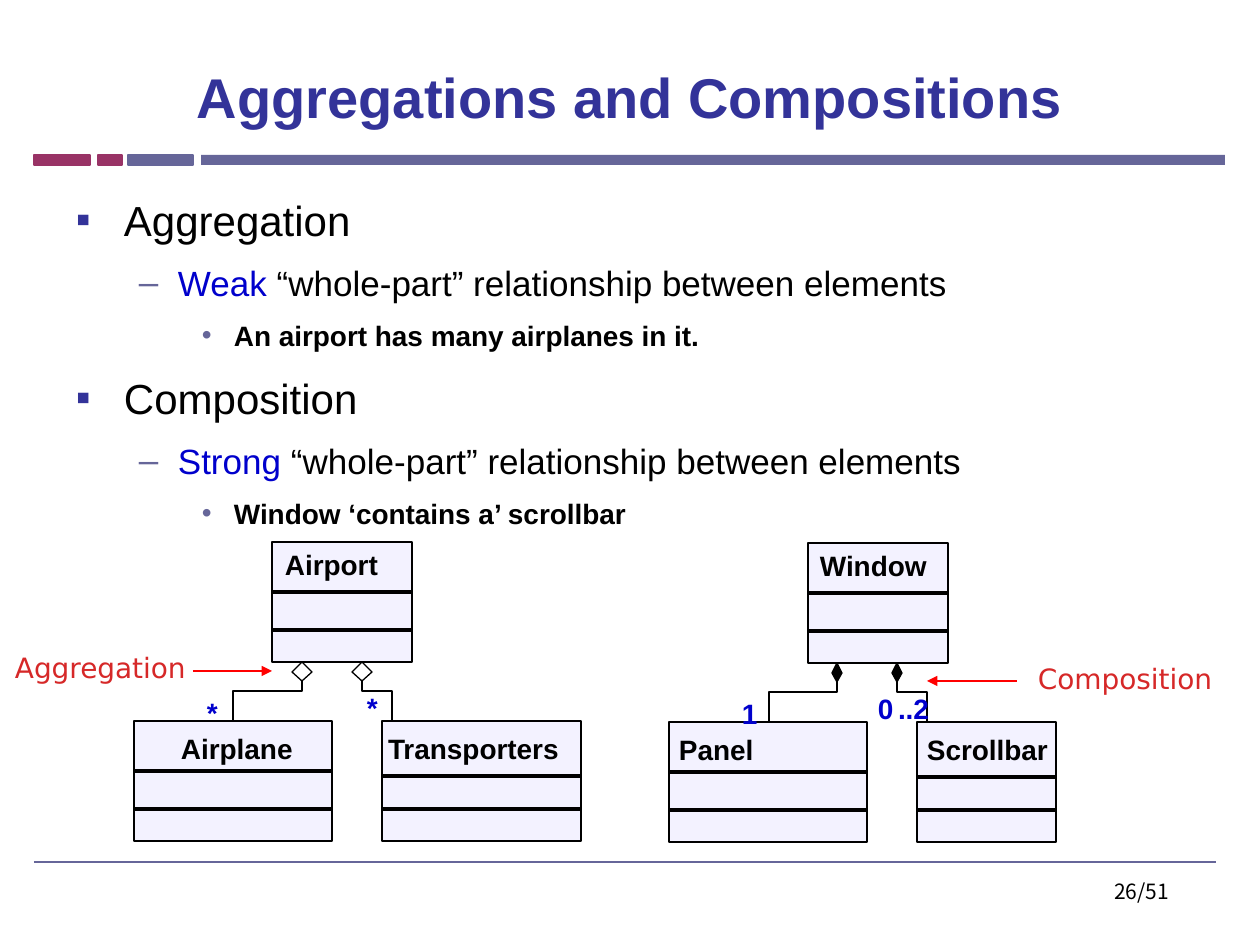
"""Build the slide on aggregations and compositions in class diagrams."""
from lxml.etree import SubElement as Sub
from pptx import Presentation
from pptx.dml.color import RGBColor
from pptx.enum.shapes import MSO_CONNECTOR as Conn, MSO_SHAPE as Shape
from pptx.enum.text import MSO_ANCHOR as Anchor, PP_ALIGN as Align
from pptx.oxml.ns import qn
from pptx.util import Emu, Pt

SCALE = 914400 / 126
BLACK, BLUE, NAVY, SLATE, PLUM = "000000", "0000CC", "333399", "666699", "993366"
RED, ROSE, PALE = "FF0000", "D62828", "F3F2FF"
BARS = [(201, 1024, SLATE), (34, 56, PLUM), (128, 65, SLATE), (98, 24, PLUM)]
LEVELS = [
    dict(left=48, hang=48, mark="▪", hue=NAVY, size=24, before=6),
    dict(left=102, hang=39, mark="–", hue=SLATE, size=20, before=5),
    dict(left=158, hang=32, mark="•", hue=SLATE, size=16, before=4.5),
]
BODY = [
    (0, [("Aggregation", BLACK)]),
    (1, [("Weak", BLUE), (" “whole-part” relationship between elements", BLACK)]),
    (2, [("An airport has many airplanes in it.", BLACK)]),
    (0, [("Composition", BLACK)]),
    (1, [("Strong", BLUE), (" “whole-part” relationship between elements", BLACK)]),
    (2, [("Window ‘contains a’ scrollbar", BLACK)]),
]
GROUPS = [
    dict(
        top=543, half=5, fill=BLACK,
        heads=[("Window", 808, 0, 140, 820, 6, 50), ("Panel", 669, 179, 198, 679, 11, 50),
               ("Scrollbar", 917, 179, 139, 927, 11, 55)],
        links=[(837, 769), (897, 927)],
        counts=[("1", 742, 154), ("0", 878, 149), ("..2", 898, 149)],
    ),
    dict(
        top=542, half=10, fill="FFFFFF",
        heads=[("Airport", 272, 0, 140, 285, 6, 50), ("Airplane", 134, 179, 198, 181, 11, 50),
               ("Transporters", 382, 179, 199, 388, 11, 55)],
        links=[(302, 233), (362, 392)],
        counts=[("*", 207, 154), ("*", 367, 149)],
    ),
]
NOTES = [("Composition", 1038, 662, (1017, 681, 927, 681), 1),
         ("Aggregation", 15, 651, (193, 671, 272, 671), 0.75)]


def px(num):
    return Emu(round(num * SCALE))


def color(code):
    return RGBColor.from_string(code)


def style(item, fill, line, width):
    item.shadow.inherit = False
    if fill:
        item.fill.solid()
        item.fill.fore_color.rgb = color(fill)
    else:
        item.fill.background()
    if line:
        item.line.color.rgb = color(line)
        item.line.width = Pt(width)
    else:
        item.line.fill.background()


def rect(to, x, y, w, h, fill, line=None, width=0):
    box = to.add_shape(Shape.RECTANGLE, px(x), px(y), px(w), px(h))
    style(box, fill, line, width)


def trace(to, points, fill=None):
    pen = to.build_freeform(*points[0], scale=SCALE)
    pen.add_line_segments(points[1:], close=bool(fill))
    style(pen.convert_to_shape(), fill, BLACK, 0)


def rule(to, x1, y1, x2, y2, hue=BLACK, width=0, arrow=False):
    line = to.add_connector(Conn.STRAIGHT, px(x1), px(y1), px(x2), px(y2))
    line.line.color.rgb = color(hue)
    line.line.width = Pt(width)
    if arrow:
        Sub(line.line._get_or_add_ln(), qn("a:tailEnd"), type="triangle")
    Sub(line._element.spPr, qn("a:effectLst"))


def frame(to, x, y, w, h, inset=(0, 0), wrap=True):
    text = to.add_textbox(px(x), px(y), px(w), px(h)).text_frame
    text.word_wrap = wrap
    text.margin_left = text.margin_right = px(inset[0])
    text.margin_top = text.margin_bottom = px(inset[1])
    return text


def write(para, text, size=16, font="Arial", hue=BLACK, bold=False):
    run = para.add_run()
    run.text = text
    run.font.size, run.font.name, run.font.bold = Pt(size), font, bold
    run.font.color.rgb = color(hue)


def bullet(para, left, hang, mark, hue):
    props = para._p.get_or_add_pPr()
    props.set("marL", str(px(left)))
    props.set("indent", str(-px(hang)))
    Sub(Sub(props, qn("a:buClr")), qn("a:srgbClr"), val=hue)
    Sub(props, qn("a:buFont"), typeface="Arial")
    Sub(props, qn("a:buChar"), char=mark)


def outline(to):
    text = frame(to, 63, 175, 1197, 669, (13, 9))
    for num, (rank, runs) in enumerate(BODY):
        para = text.add_paragraph() if num else text.paragraphs[0]
        look = LEVELS[rank]
        para.level = rank
        bullet(para, look["left"], look["hang"], look["mark"], look["hue"])
        para.line_spacing = 1.2
        para.space_before = Pt(look["before"] if num else 0)
        for words, hue in runs:
            write(para, words, size=look["size"], hue=hue, bold=rank == 2)


def diagram(to, top, half, fill, heads, links, counts):
    for name, x, drop, w, left, pad, split in heads:
        y = top + drop
        rect(to, x, y, w, 120, PALE, BLACK)
        for step in (split, 88):
            rule(to, x, y + step, x + w, y + step)
        text = frame(to, left, y + pad, w + x - left, 34, wrap=False)
        write(text.paragraphs[0], name, bold=True)
    y = top + 120
    for x, end in links:
        trace(to, [(x, y), (x, y + 29), (end, y + 29), (end, y + 59)])
        trace(to, [(x - half, y + 10), (x, y), (x + half, y + 10), (x, y + 19)], fill)
    for mark, x, drop in counts:
        text = frame(to, x, top + drop, 11 * len(mark), 34, wrap=False)
        write(text.paragraphs[0], mark, hue=BLUE, bold=True)


def main():
    deck = Presentation()
    deck.slide_width, deck.slide_height = px(1260), px(945)
    page = deck.slides.add_slide(deck.slide_layouts[6]).shapes
    for x, w, hue in BARS:
        rect(page, x, 155, w, 10, hue, hue if w < 100 else None, 0.75)
    rule(page, 34, 862, 1216, 862, SLATE, 1)
    foot = frame(page, 888, 873, 294, 66, (13, 6)).paragraphs[0]
    foot.alignment = Align.RIGHT
    write(foot, "26/51", size=12, font="Noto Sans CJK KR")
    head = frame(page, 63, 38, 1134, 117, (13, 6))
    head.vertical_anchor = Anchor.MIDDLE
    head.paragraphs[0].alignment = Align.CENTER
    write(head.paragraphs[0], "Aggregations and Compositions", size=32, hue=NAVY, bold=True)
    outline(page)
    for words, x, y, ends, width in NOTES:
        write(frame(page, x, y, 188, 34).paragraphs[0], words, font="DejaVu Sans", hue=ROSE)
        rule(page, *ends, RED, width, arrow=True)
    for group in GROUPS:
        diagram(page.add_group_shape().shapes, **group)
    deck.save("out.pptx")


if __name__ == "__main__":
    main()
